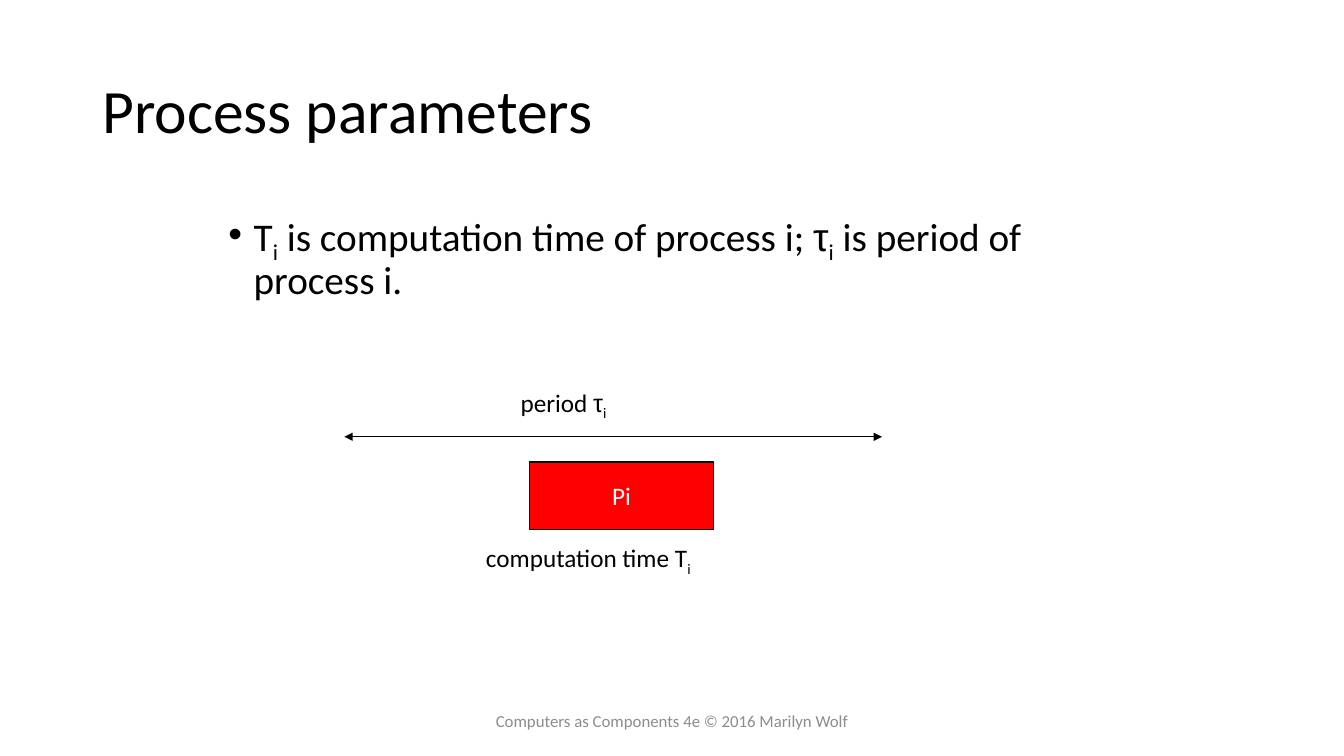
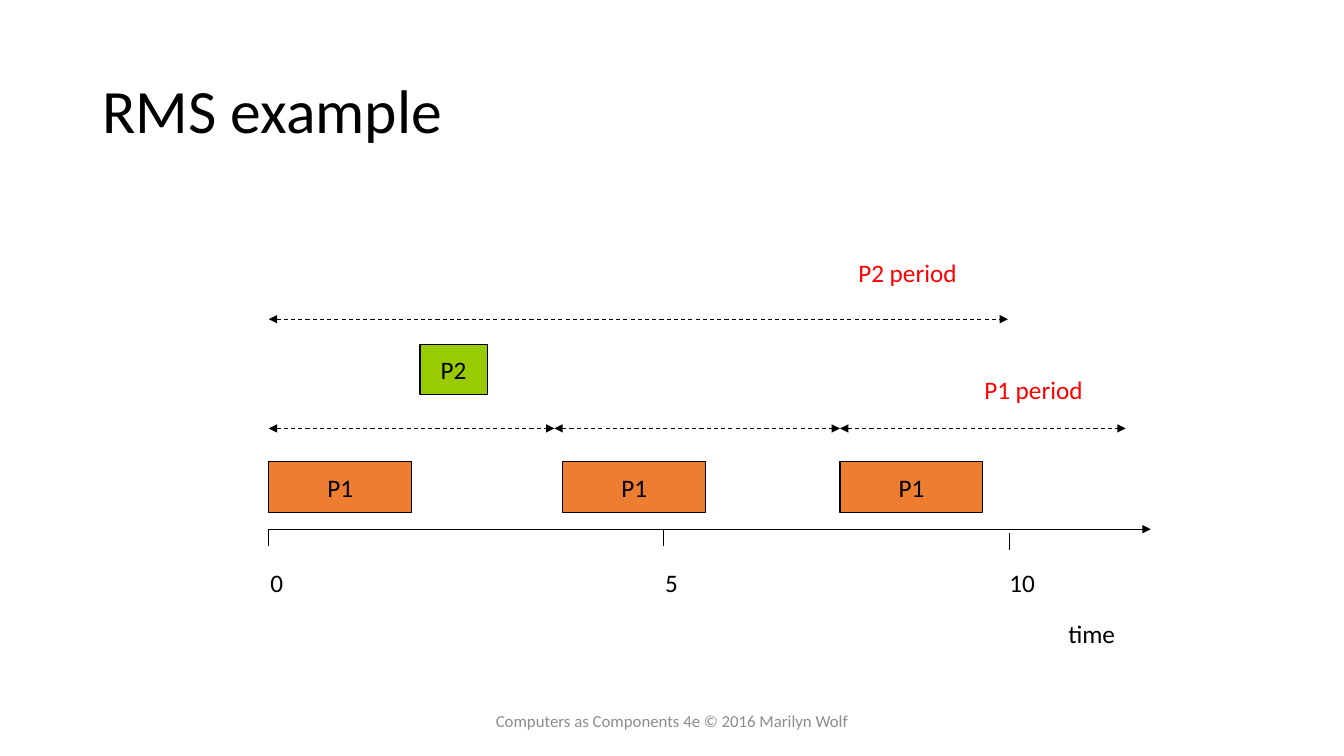
import pptx
import pptx.util
import pptx.dml.color
import pptx.enum.dml
import pptx.enum.shapes
import pptx.enum.text
import pptx.oxml
import pptx.oxml.ns

COLORS = {"ink": "000000", "paper": "FFFFFF", "red": "FF0000",
          "orange": "ED7D31", "green": "99CC00", "gray": "8C8C8C"}
WIDTH, HEIGHT = 13.33, 7.5
COLS, ROWS = 160, 90
ALIGN = pptx.enum.text.PP_ALIGN
ANCHOR = pptx.enum.text.MSO_ANCHOR
FIT = pptx.enum.text.MSO_AUTO_SIZE
FACES = {"plain": "Calibri", "sub": "Calibri", "greek": "Arial"}
TAU = [("τ", "greek"), ("i", "sub")]


class Deck:
    """Draws slides on a grid of columns and rows in one shared style."""

    def __init__(self):
        self.show = pptx.Presentation()
        self.show.slide_width = pptx.util.Inches(WIDTH)
        self.show.slide_height = pptx.util.Inches(HEIGHT)
        self.slide = None

    def spot(self, col, row):
        return (pptx.util.Inches(col * WIDTH / COLS),
                pptx.util.Inches(row * HEIGHT / ROWS))

    def tint(self, name):
        return pptx.dml.color.RGBColor.from_string(COLORS[name])

    def place(self, shape, area):
        shape.left, shape.top = self.spot(*area[:2])
        shape.width, shape.height = self.spot(*area[2:])

    def letter(self, shape, parts, size=18, color="ink", frame=None, para=None):
        if isinstance(parts, str):
            parts = [(parts, "plain")]
        text = shape.text_frame
        line = text.paragraphs[0]
        for item, values in ((text, frame), (line, para)):
            for key, value in (values or {}).items():
                setattr(item, key, value)
        for words, kind in parts:
            run = line.add_run()
            run.text = words
            style = {"name": FACES[kind], "size": pptx.util.Pt(size)}
            for key, value in style.items():
                setattr(run.font, key, value)
            run.font.color.rgb = self.tint(color)
            if kind == "sub":
                run.font._element.set("baseline", "-25000")
        return line

    def start(self, title, layout):
        self.slide = self.show.slides.add_slide(self.show.slide_layouts[layout])
        head = self.slide.shapes.title
        self.place(head, (11, 4.8, 138, 17.4))
        self.letter(head, title, 44,
                    frame={"vertical_anchor": ANCHOR.MIDDLE, "auto_size": FIT.NONE},
                    para={"alignment": ALIGN.LEFT, "line_spacing": 0.9})
        self.label((53, 83.4, 54, 4.8), "Computers as Components 4e © 2016 Marilyn Wolf",
                   size=12, color="gray",
                   frame={"word_wrap": True, "vertical_anchor": ANCHOR.MIDDLE},
                   para={"alignment": ALIGN.CENTER})

    def body(self, area, parts):
        shape = self.slide.placeholders[1]
        self.place(shape, area)
        line = self.letter(shape, parts, 28, frame={"auto_size": FIT.NONE},
                           para={"line_spacing": 0.9, "space_before": pptx.util.Pt(0)})
        indent = pptx.util.Inches(0.25)
        props = line._p.get_or_add_pPr()
        props.set("marL", str(indent))
        props.set("indent", str(-indent))

    def label(self, area, parts, size=18, color="ink", frame=None, para=None):
        shape = self.slide.shapes.add_textbox(0, 0, 0, 0)
        self.place(shape, area)
        frame = frame or {"word_wrap": False, "auto_size": FIT.SHAPE_TO_FIT_TEXT}
        self.letter(shape, parts, size, color, frame, para)

    def box(self, area, text, fill, color="ink"):
        shape = self.slide.shapes.add_shape(
            pptx.enum.shapes.MSO_SHAPE.RECTANGLE, 0, 0, 0, 0)
        self.place(shape, area)
        shape.shadow.inherit = False
        shape.fill.solid()
        shape.fill.fore_color.rgb = self.tint(fill)
        shape.line.color.rgb = self.tint("ink")
        shape.line.width = pptx.util.Pt(0.75)
        self.letter(shape, text, color=color,
                    frame={"word_wrap": False, "vertical_anchor": ANCHOR.MIDDLE},
                    para={"alignment": ALIGN.CENTER})

    def line(self, start, end, tips=(), dash=False):
        shape = self.slide.shapes.add_connector(
            pptx.enum.shapes.MSO_CONNECTOR.STRAIGHT,
            *self.spot(*start), *self.spot(*end))
        shape.line.color.rgb = self.tint("ink")
        shape.line.width = pptx.util.Pt(0.75)
        if dash:
            shape.line.dash_style = pptx.enum.dml.MSO_LINE.DASH
        stroke = shape.line._get_or_add_ln()
        for tip in tips:
            mark = pptx.oxml.parse_xml(
                f'<a:{tip} {pptx.oxml.ns.nsdecls("a")} type="triangle"/>')
            stroke.append(mark)
        shape._element.spPr.append(pptx.oxml.parse_xml(
            f'<a:effectLst {pptx.oxml.ns.nsdecls("a")}/>'))

    def span(self, left, right, row, dash=False):
        self.line((left, row), (right, row), ("headEnd", "tailEnd"), dash)


def process(deck):
    deck.start("Process parameters", 1)
    deck.body((26, 24.7, 107.3, 14.3),
              [("T", "plain"), ("i", "sub"),
               (" is computation time of process i; ", "plain"), *TAU,
               (" is period of process i.", "plain")])
    deck.span(41, 105, 52)
    deck.label((60.8, 45.5, 13, 4.8), [("period ", "plain"), *TAU])
    deck.box((63, 55, 22, 8), "Pi", "red", "paper")
    deck.label((56, 64, 27.8, 4.8),
               [(" computation time T", "plain"), ("i", "sub")])


def example(deck):
    origin, period, axis = 32, 34, 63
    deck.start("RMS example", 5)
    deck.line((origin, axis), (137, axis), ("tailEnd",))
    deck.label((126, 73, 8, 4.8), "time")
    for text, col, row, width in (("0", origin, axis, 4), ("5", 79, axis, 4),
                                  ("10", 120.2, axis + 0.5, 5.5)):
        deck.line((col, row), (col, row + 2))
        deck.label((int(col) - 1, 67, width, 4.8), text)
    deck.span(origin, 120, 38, True)
    for text, col, row in (("P2 period", 101, 30), ("P1 period", 116, 44)):
        deck.label((col, row, 14.3, 4.8), text, color="red")
    for turn, col in enumerate((origin, 67, 100)):
        left = origin + turn * period
        deck.span(left, left + period, 51, True)
        deck.box((col, 55, 17, 6), "P1", "orange")
    deck.box((50, 41, 8, 6), "P2", "green")


def main():
    deck = Deck()
    process(deck)
    example(deck)
    deck.show.save("out.pptx")


if __name__ == "__main__":
    main()
